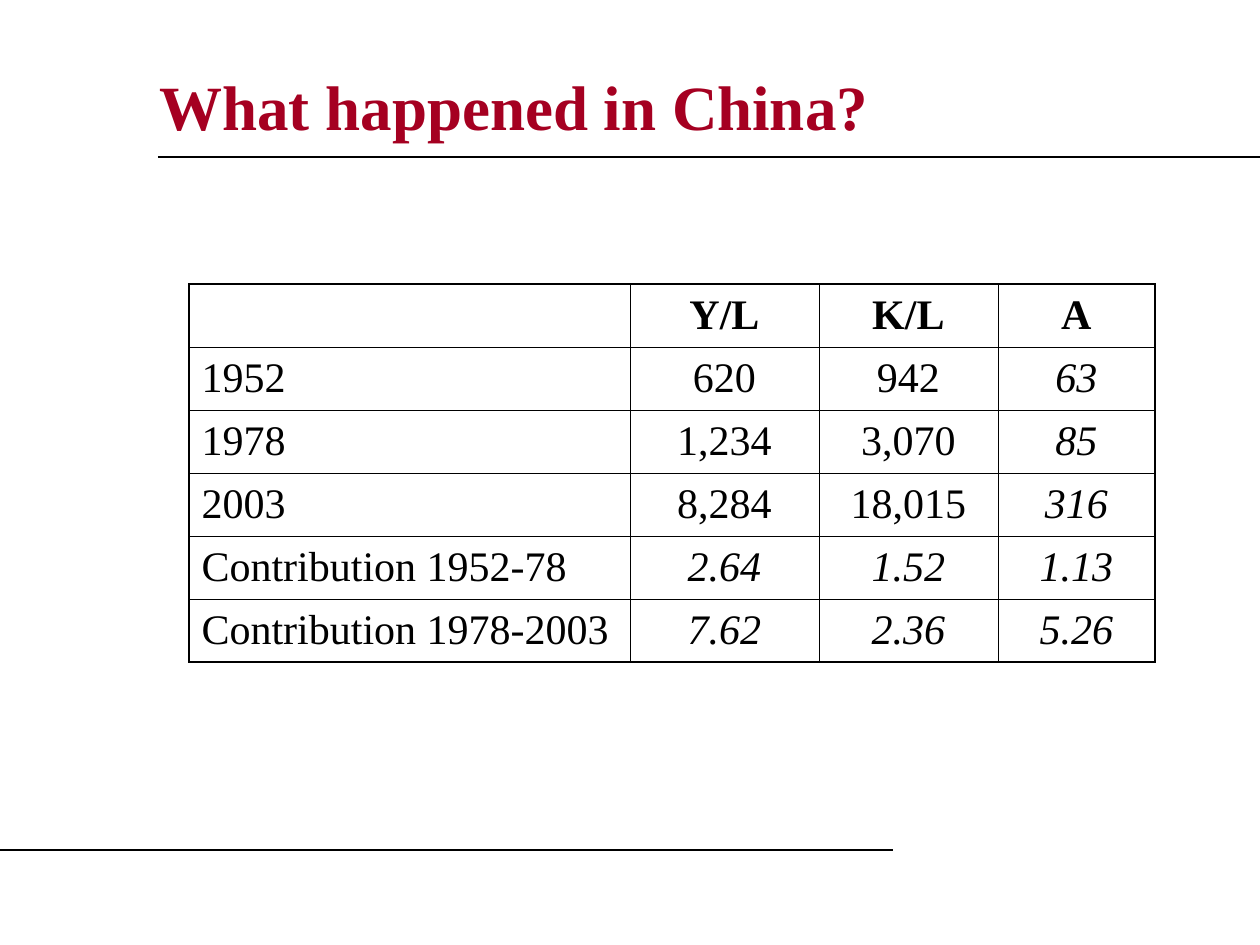
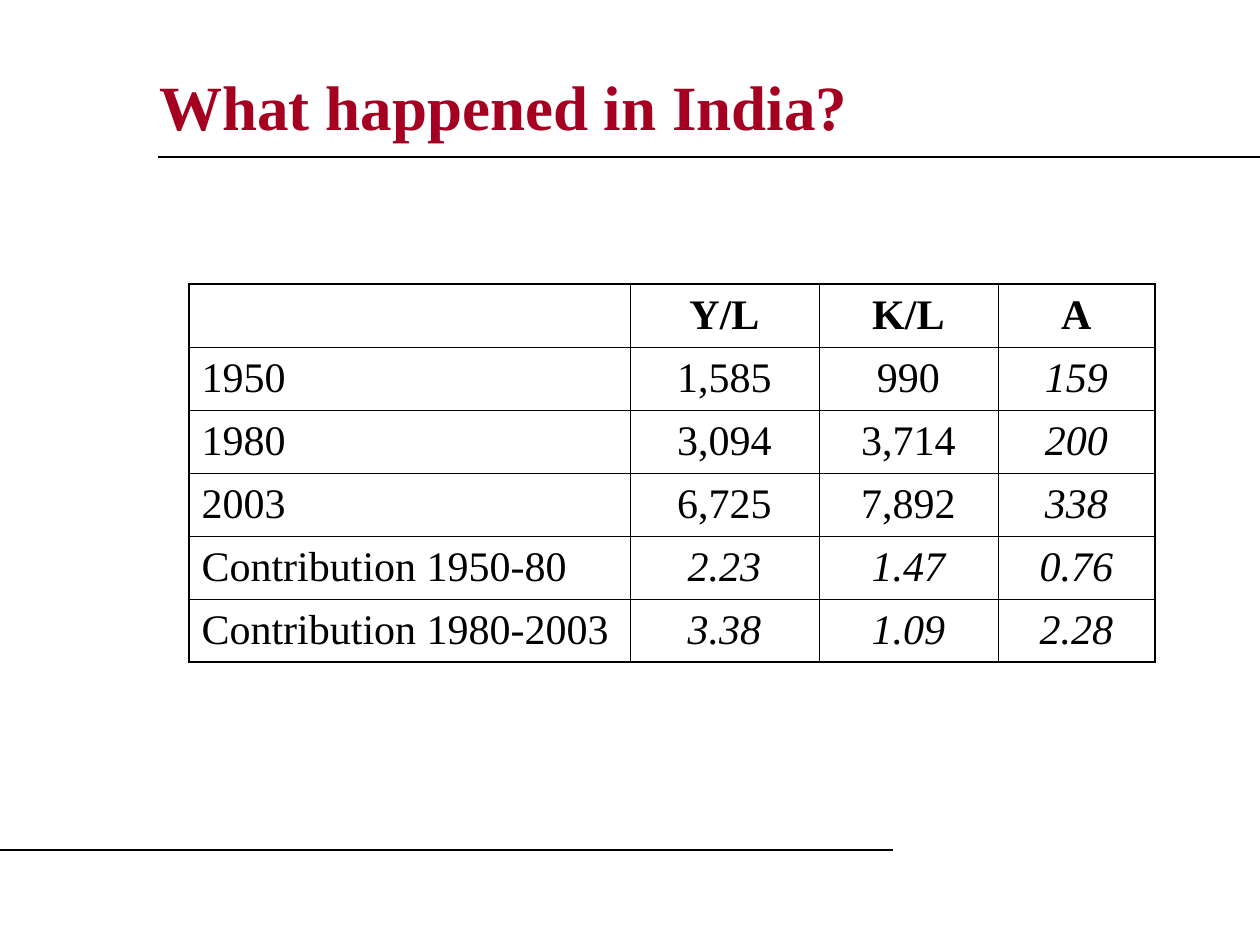
from lxml.etree import SubElement
from pptx import Presentation
from pptx.dml.color import RGBColor
from pptx.enum.shapes import MSO_CONNECTOR as Connector
from pptx.enum.text import MSO_ANCHOR as Anchor, PP_ALIGN as Align
from pptx.oxml.ns import qn
from pptx.util import Pt

PIXEL = 914400 // 126  # EMU per pixel


def px(length):
    return length * PIXEL


def color(hex_code):
    return RGBColor.from_string(hex_code)


def write(frame, text, size=24, ink="000000", bold=False, italic=False,
          align=Align.LEFT, before=0):
    paragraph = frame.paragraphs[0]
    paragraph.alignment = align
    paragraph.space_before = Pt(before)
    run = paragraph.add_run()
    run.text = text
    font = run.font
    font.name, font.size = "Times New Roman", Pt(size)
    font.bold, font.italic = bold, italic
    font.color.rgb = color(ink)


class Deck:
    TITLE_INK = "A50021"
    RULE_INK = "000000"
    RULE_WIDTH = 0.74
    FRAME_WIDTH, GRID_WIDTH = 1.08, 0.45
    COLUMNS = (441, 189, 179, 157)
    ROW_HEIGHT = 63
    HEADINGS = ("", "Y/L", "K/L", "A")

    def __init__(self):
        self.show = Presentation()
        self.show.slide_width, self.show.slide_height = px(1260), px(945)
        self.slide = None

    def start(self, title):
        """Add a slide with the shared title and the two rules."""
        self.slide = self.show.slides.add_slide(self.show.slide_layouts[6])
        self.title(title)
        self.rule(158, 1260, 157)
        self.rule(0, 893, 850)

    def title(self, text):
        box = self.slide.shapes.add_textbox(px(147), px(32), px(1071), px(147))
        frame = box.text_frame
        frame.word_wrap = True
        frame.vertical_anchor = Anchor.MIDDLE
        write(frame, text, size=36, ink=self.TITLE_INK, bold=True)

    def rule(self, left, right, y):
        line = self.slide.shapes.add_connector(
            Connector.STRAIGHT, px(left), px(y), px(right), px(y))
        line.line.color.rgb = color(self.RULE_INK)
        line.line.width = Pt(self.RULE_WIDTH)
        SubElement(line._element.spPr, qn("a:effectLst"))

    def border(self, cell, side, width):
        edge = SubElement(cell._tc.get_or_add_tcPr(), qn(f"a:ln{side}"),
                          w=str(Pt(width)))
        fill = SubElement(edge, qn("a:solidFill"))
        SubElement(fill, qn("a:srgbClr"), val=self.RULE_INK)

    def table(self, records):
        rows = [self.HEADINGS, *records]
        last_row, last_column = len(rows) - 1, len(self.COLUMNS) - 1
        table = self.slide.shapes.add_table(
            len(rows), len(self.COLUMNS), px(189), px(284),
            px(sum(self.COLUMNS)), px(self.ROW_HEIGHT * len(rows))).table
        table.first_row = table.horz_banding = False
        for column, width in zip(table.columns, self.COLUMNS):
            column.width = px(width)
        for r, values in enumerate(rows):
            table.rows[r].height = px(self.ROW_HEIGHT)
            contribution = values[0].startswith("Contribution")
            for c, value in enumerate(values):
                cell = table.cell(r, c)
                cell.vertical_anchor = Anchor.MIDDLE
                # Heavy frame outside, thin grid inside
                outer = {"L": c == 0, "R": c == last_column,
                         "T": r == 0, "B": r == last_row}
                for side, framed in outer.items():
                    self.border(cell, side,
                                self.FRAME_WIDTH if framed else self.GRID_WIDTH)
                cell.fill.background()
                if value:
                    # Derived figures are italic: column A and contributions
                    derived = c > 0 and (contribution or c == last_column)
                    write(cell.text_frame, value, bold=r == 0,
                          italic=r > 0 and derived, before=6,
                          align=Align.CENTER if c else Align.LEFT)


GROWTH = {
    "China": [
        ("1952", "620", "942", "63"),
        ("1978", "1,234", "3,070", "85"),
        ("2003", "8,284", "18,015", "316"),
        ("Contribution 1952-78", "2.64", "1.52", "1.13"),
        ("Contribution 1978-2003", "7.62", "2.36", "5.26"),
    ],
    "India": [
        ("1950", "1,585", "990", "159"),
        ("1980", "3,094", "3,714", "200"),
        ("2003", "6,725", "7,892", "338"),
        ("Contribution 1950-80", "2.23", "1.47", "0.76"),
        ("Contribution 1980-2003", "3.38", "1.09", "2.28"),
    ],
}

# One slide per country
deck = Deck()
for country, records in GROWTH.items():
    deck.start(f"What happened in {country}?")
    deck.table(records)
deck.show.save("out.pptx")
